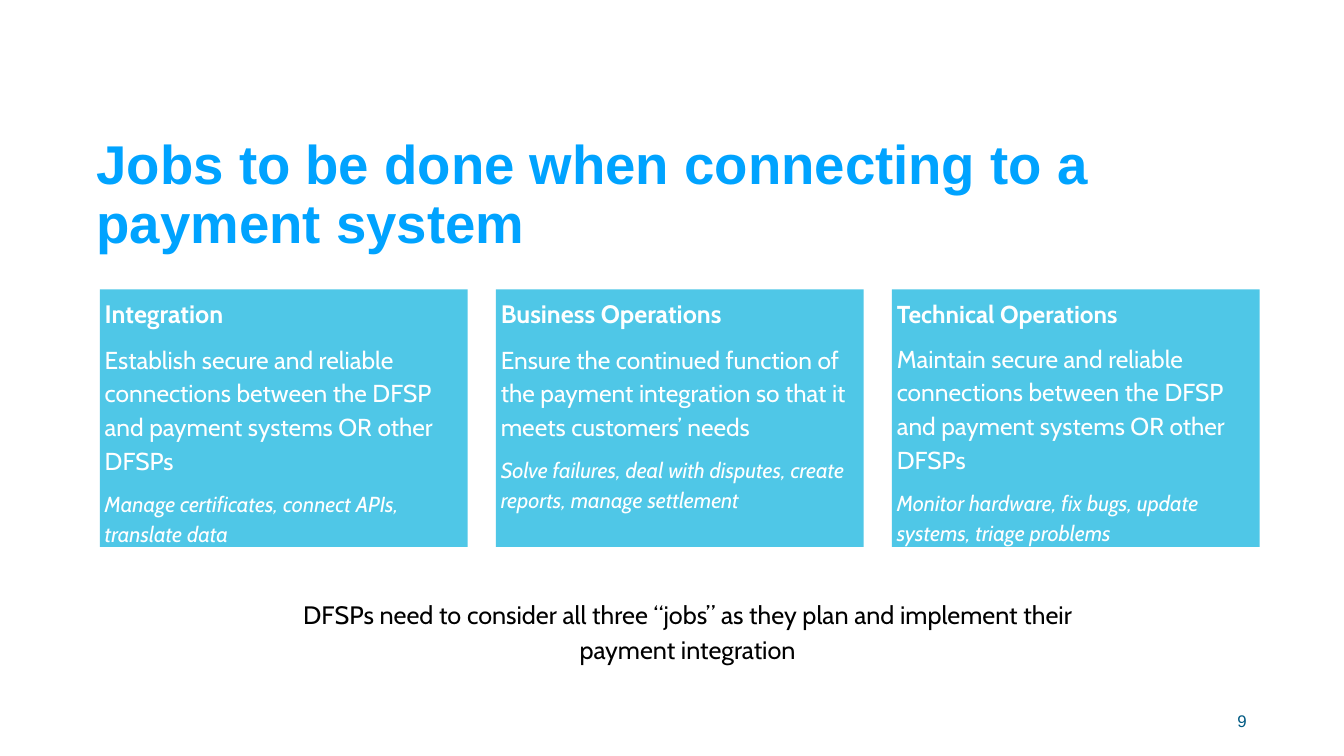
from pptx import Presentation
from pptx.dml.color import RGBColor
from pptx.enum.shapes import MSO_SHAPE as Shape
from pptx.enum.text import MSO_ANCHOR as Anchor, PP_ALIGN as Align
from pptx.util import Cm, Pt


def tint(code):
    return RGBColor.from_string(code)


class Deck:
    sky = "4FC7E7"
    blue = "00A3FF"
    navy = "005A83"
    white = "FFFFFF"
    black = "000000"
    sans = "Arial"
    body = "Cabin"

    def __init__(self, show):
        self.slide = show.slides.add_slide(show.slide_layouts[6])

    def fill(self, shape, rows, pad, anchor=Anchor.TOP):
        frame = shape.text_frame
        look = {
            "word_wrap": True,
            "vertical_anchor": anchor,
            "margin_left": Cm(0.25),
            "margin_right": Cm(0.25),
            "margin_top": Cm(pad),
            "margin_bottom": Cm(pad),
        }
        for name, value in look.items():
            setattr(frame, name, value)
        for num, (words, font, hue, form) in enumerate(rows):
            para = frame.add_paragraph() if num else frame.paragraphs[0]
            run = para.add_run()
            run.text = words
            run.font.color.rgb = tint(hue)
            run.font.name = font
            for name, value in form.items():
                home = run.font if name in ("size", "bold", "italic") else para
                setattr(home, name, value)

    def text(self, place, words, font, hue, form, pad=0.13, anchor=Anchor.TOP):
        box = self.slide.shapes.add_textbox(*map(Cm, place))
        self.fill(box, [(words, font, hue, form)], pad, anchor)

    def card(self, place, rows):
        box = self.slide.shapes.add_shape(Shape.RECTANGLE, *map(Cm, place))
        box.shadow.inherit = False
        box.fill.solid()
        box.fill.fore_color.rgb = tint(self.sky)
        box.line.fill.background()
        base = {"alignment": Align.LEFT, "line_spacing": 1.15}
        self.fill(box, [(words, self.body, self.white, base | form)
                        for words, form in rows], 0.25)


def main():
    show = Presentation()
    show.slide_width, show.slide_height = Cm(67.74), Cm(38.1)
    deck = Deck(show)

    deck.text((4.62, 8.43, 58.47, 4.57),
              "Jobs to be done when connecting to a payment system",
              deck.sans, deck.blue,
              {"size": Pt(78), "bold": True, "line_spacing": 0.9},
              anchor=Anchor.BOTTOM)
    deck.text((47.85, 35.31, 15.24, 2.03), "9", deck.sans, deck.navy,
              {"size": Pt(24), "alignment": Align.RIGHT}, anchor=Anchor.MIDDLE)

    jobs = [
        ("Integration", 36,
         "Establish secure and reliable connections between the DFSP and payment systems OR other DFSPs",
         "Manage certificates, connect APIs, translate data"),
        ("Business Operations", 36,
         "Ensure the continued function of the payment integration so that it meets customers’ needs",
         "Solve failures, deal with disputes, create reports, manage settlement"),
        ("Technical Operations", 35,
         "Maintain secure and reliable connections between the DFSP and payment systems OR other DFSPs",
         "Monitor hardware, fix bugs, update systems, triage problems"),
    ]
    left, width, gap = 5.03, 18.54, 1.42
    for num, (head, size, goal, tasks) in enumerate(jobs):
        deck.card((left + num * (width + gap), 14.58, width, 12.98), [
            (head, {"size": Pt(size), "bold": True}),
            (goal, {"size": Pt(35), "space_before": Pt(16)}),
            (tasks, {"size": Pt(31), "italic": True, "space_before": Pt(16)}),
        ])

    deck.text((14.27, 29.74, 40.77, 4.83),
              "DFSPs need to consider all three “jobs” as they plan and implement their payment integration",
              deck.body, deck.black,
              {"size": Pt(36), "alignment": Align.CENTER, "line_spacing": 1.15},
              pad=0.25)
    show.save("out.pptx")


if __name__ == "__main__":
    main()
